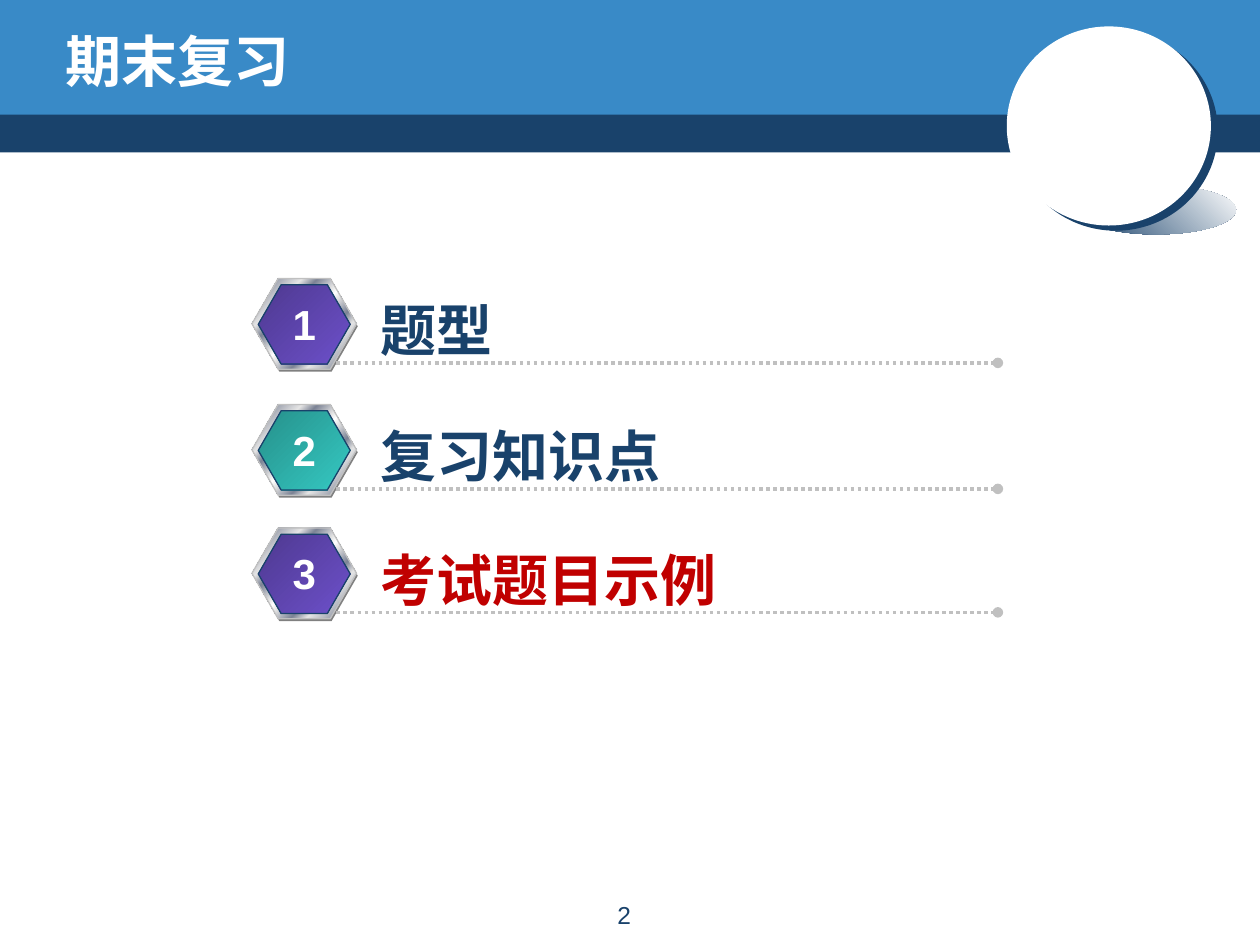
from lxml import etree
from pptx import Presentation
from pptx.dml.color import RGBColor
from pptx.enum import dml, shapes, text
from pptx.oxml import ns
from pptx.util import Inches, Pt

COLORS = {
    "navy": "19426B", "blue": "398AC7", "white": "FFFFFF", "red": "C00000",
    "silver": "C0C0C0", "gray": "808080", "light": "E6E6E6", "steel": "7D8496",
    "purple dark": "4E3990", "purple": "6D50CA",
    "teal dark": "26908B", "teal": "35C9C2",
}
TITLE = "期末复习"
PAGE_NUMBER = "2"
# label, label colour, badge hue, top of the badge, width of the label
TOPICS = [
    ("题型", "navy", "purple", 2.21, 1.1),
    ("复习知识点", "navy", "teal", 3.21, 2.45),
    ("考试题目示例", "red", "purple", 4.19, 2.91),
]
METAL = [(0, "light"), (7, "steel"), (26, "light"), (34, "steel"), (46, "light"),
         (50, "white"), (54, "light"), (66, "steel"), (74, "light"),
         (93, "steel"), (100, "light")]


def rgb(name):
    return RGBColor.from_string(COLORS[name])


def add_xml(parent, tag, **attributes):
    return etree.SubElement(parent, ns.qn(tag), attributes)


def set_gradient(shape, stops, angle):
    """Fill with (percent, colour) stops; the angle runs clockwise in degrees."""
    shape.fill.gradient()
    gradient = shape._element.spPr.find(ns.qn("a:gradFill"))
    for child in list(gradient):
        gradient.remove(child)
    stop_list = add_xml(gradient, "a:gsLst")
    for percent, name in stops:
        stop = add_xml(stop_list, "a:gs", pos=str(percent * 1000))
        add_xml(stop, "a:srgbClr", val=COLORS[name])
    add_xml(gradient, "a:lin", ang=str(angle * 60000), scaled="0")


def add_figure(parent, kind, place, fill=None, stops=None, angle=45, line=None):
    shape = parent.add_shape(kind, *map(Inches, place))
    shape.shadow.inherit = False
    if stops:
        set_gradient(shape, stops, angle)
    else:
        shape.fill.solid()
        shape.fill.fore_color.rgb = rgb(fill)
    if line:
        shape.line.color.rgb = rgb(line)
        shape.line.width = Pt(0.75)
    else:
        shape.line.fill.background()
    return shape


def write(box, words, size, color, font="Arial", bold=True,
          align=text.PP_ALIGN.LEFT, wrap=False, anchor=text.MSO_ANCHOR.TOP):
    frame = box.text_frame
    frame.word_wrap = wrap
    frame.vertical_anchor = anchor
    para = frame.paragraphs[0]
    para.alignment = align
    span = para.add_run()
    span.text = words
    span.font.size, span.font.name, span.font.bold = Pt(size), font, bold
    span.font.color.rgb = rgb(color)


def add_text(page, place, words, size, color, **formats):
    write(page.shapes.add_textbox(*map(Inches, place)), words, size, color, **formats)


def add_header(page):
    rectangle, oval = shapes.MSO_SHAPE.RECTANGLE, shapes.MSO_SHAPE.OVAL
    add_figure(page.shapes, rectangle, (0, 0.87, 10, 0.34), "navy")
    add_figure(page.shapes, rectangle, (0, 0, 10, 0.91), "blue")
    emblem = page.shapes.add_group_shape().shapes
    add_figure(emblem, oval, (8.54, 1.47, 1.27, 0.39),
               stops=[(0, "navy"), (100, "white")], angle=315)
    disc = add_figure(emblem, oval, (7.99, 0.21, 1.62, 1.58), "white")
    effects = disc._element.spPr.find(ns.qn("a:effectLst"))
    shadow = add_xml(effects, "a:outerShdw", blurRad="0", dist=str(Pt(5)),
                     dir=str(37 * 60000), algn="ctr", rotWithShape="0")
    add_xml(shadow, "a:srgbClr", val=COLORS["navy"])
    add_figure(emblem, oval, (8.54, 0.68, 0.57, 0.59), "white")


def add_badge(page, top, hue):
    badge = page.shapes.add_group_shape().shapes
    layers = [
        ((2.01, top + 0.02, 0.83, 0.72), {"fill": "gray"}),
        ((2, top, 0.83, 0.72), {"stops": METAL, "line": "silver"}),
        ((2.05, top + 0.05, 0.73, 0.63),
         {"stops": [(0, hue + " dark"), (100, hue)], "line": "navy"}),
    ]
    for place, look in layers:
        hexagon = add_figure(badge, shapes.MSO_SHAPE.HEXAGON, place, **look)
        hexagon.adjustments[0] = 0.289
        hexagon.adjustments[1] = 1.155


def add_dotted_line(page, y):
    line = page.shapes.add_connector(
        shapes.MSO_CONNECTOR.STRAIGHT, Inches(2.67), Inches(y), Inches(7.92), Inches(y))
    line.line.color.rgb = rgb("silver")
    line.line.width = Pt(2)
    line.line.dash_style = dml.MSO_LINE.ROUND_DOT
    add_xml(line.line._get_or_add_ln(), "a:tailEnd", type="oval")
    add_xml(line._element.spPr, "a:effectLst")


def main():
    deck = Presentation()
    deck.slide_width, deck.slide_height = Inches(10), Inches(7.5)
    page = deck.slides.add_slide(deck.slide_layouts[5])
    add_header(page)

    title = page.shapes.title
    title.left, title.top, title.width, title.height = map(Inches, (0.42, 0.17, 8.08, 0.62))
    write(title, TITLE, 32, "white", font="Comic Neue", wrap=True,
          anchor=text.MSO_ANCHOR.MIDDLE)
    tree = page.shapes._spTree
    tree.remove(title._element)
    tree.append(title._element)  # in front of the header bands

    for number, (label, color, hue, top, width) in enumerate(TOPICS, 1):
        add_badge(page, top, hue)
        add_dotted_line(page, top + 0.67)
        add_text(page, (2.92, top + 0.09, width, 0.64), label, 32, color)
        add_text(page, (2.22, top + 0.11, 0.39, 0.5), str(number), 24, "white",
                 align=text.PP_ALIGN.CENTER)

    add_text(page, (4.05, 7.09, 1.81, 0.32), PAGE_NUMBER, 14, "navy", bold=False,
             align=text.PP_ALIGN.CENTER, wrap=True)
    deck.save("out.pptx")


if __name__ == "__main__":
    main()
